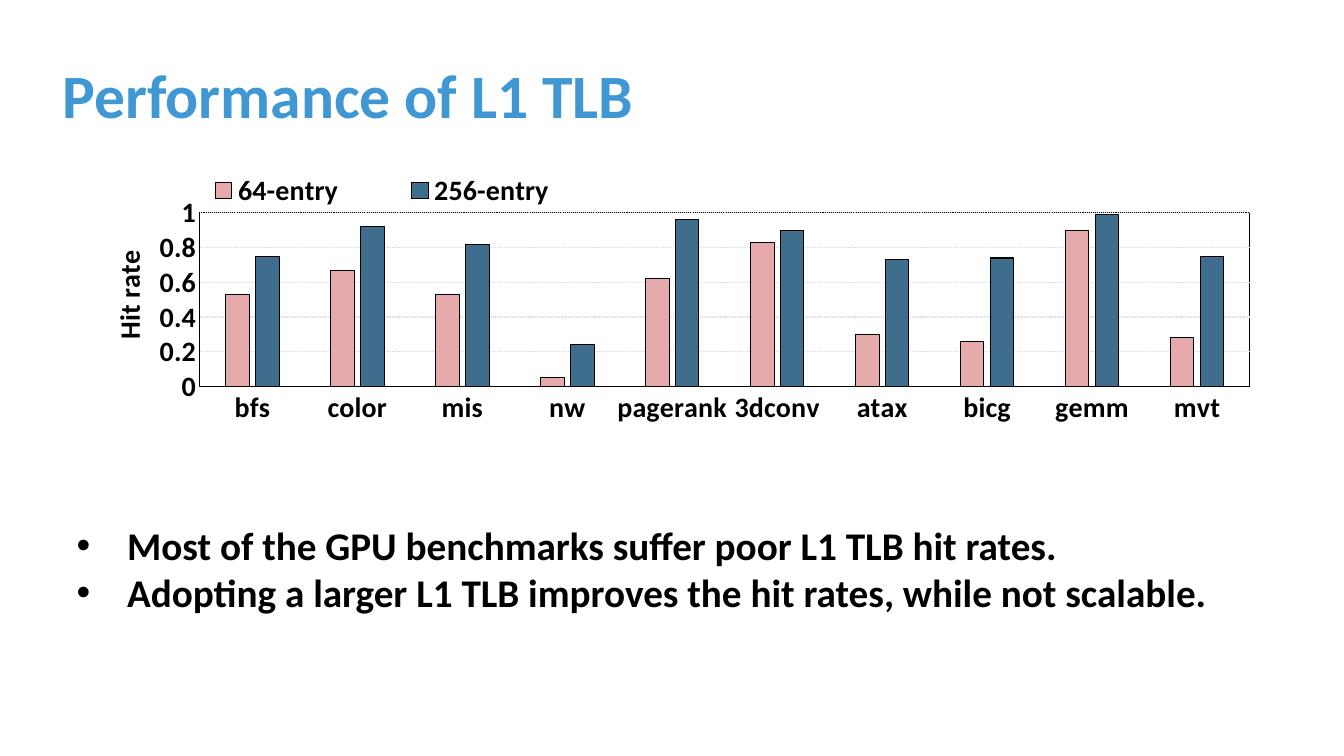
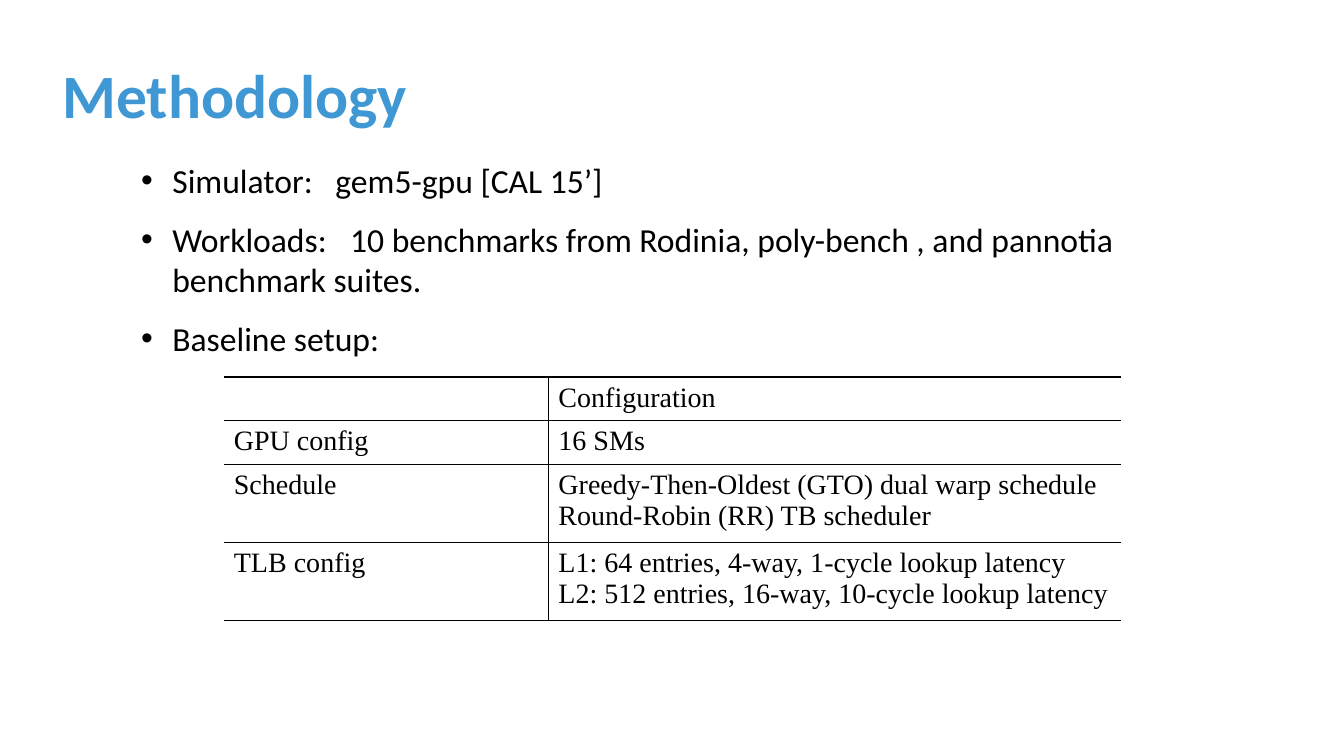
from dataclasses import dataclass

from lxml import etree
from pptx import Presentation
from pptx.chart.data import CategoryChartData
from pptx.dml.color import RGBColor
from pptx.enum.chart import XL_CHART_TYPE, XL_LEGEND_POSITION, XL_TICK_MARK
from pptx.enum.dml import MSO_LINE
from pptx.enum.text import MSO_ANCHOR, MSO_AUTO_SIZE, PP_ALIGN
from pptx.oxml import parse_xml
from pptx.oxml.ns import nsdecls, qn
from pptx.util import Cm, Pt


@dataclass(frozen=True)
class Theme:
    heading: str = "3F97D3"
    ink: str = "000000"
    grid: str = "D9D9D9"
    small_series: str = "E7AAAA"
    large_series: str = "3F6D8E"
    font: str = "Calibri"
    table_font: str = "Times New Roman"
    title_size: int = 44
    takeaway_size: int = 28
    list_size: int = 24
    label_size: int = 20
    hairline: float = 0.75
    rule: float = 1


THEME = Theme()
NO_TABLE_STYLE = "{2D5ABB26-0587-4C30-8999-92F81FD0307C}"

BENCHMARKS = ["bfs", "color", "mis", "nw", "pagerank",
              "3dconv", "atax", "bicg", "gemm", "mvt"]
HIT_RATES = [
    ("64-entry", THEME.small_series,
     [0.53, 0.67, 0.53, 0.05, 0.62, 0.83, 0.3, 0.26, 0.9, 0.28]),
    ("256-entry", THEME.large_series,
     [0.75, 0.92, 0.82, 0.24, 0.96, 0.9, 0.73, 0.74, 0.99, 0.75]),
]
SETUP_ROWS = [
    ("", "Configuration"),
    ("GPU config", "16 SMs"),
    ("Schedule", "Greedy-Then-Oldest (GTO) dual warp schedule\n"
                 "Round-Robin (RR) TB scheduler"),
    ("TLB config", "L1: 64 entries, 4-way, 1-cycle lookup latency\n"
                   "L2: 512 entries, 16-way, 10-cycle lookup latency"),
]


# Text
def format_font(font, size, color=THEME.ink, bold=False, name=THEME.font):
    font.name = name
    font.size = Pt(size)
    font.bold = bold
    font.color.rgb = RGBColor.from_string(color)


def add_bullet(paragraph, indent, tab=None):
    properties = paragraph._p.get_or_add_pPr()
    properties.set("marL", str(indent))
    properties.set("indent", str(-indent))
    etree.SubElement(properties, qn("a:buFont"), typeface="Arial")
    etree.SubElement(properties, qn("a:buChar"), char="•")
    if tab:
        stops = etree.SubElement(properties, qn("a:tabLst"))
        etree.SubElement(stops, qn("a:tab"), pos=str(tab), algn="l")


def write_text(frame, text, indent=None, tabs=(), gap=0, line_spacing=1.0, **font):
    """Write one paragraph per line of text; tabs maps onto its lines."""
    for number, line in enumerate(text.split("\n")):
        paragraph = frame.paragraphs[0] if number == 0 else frame.add_paragraph()
        if indent:
            add_bullet(paragraph, indent, tabs[number] if number < len(tabs) else None)
        paragraph.alignment = PP_ALIGN.LEFT
        paragraph.line_spacing = line_spacing
        paragraph.space_before = Pt(gap if number else 0)
        run = paragraph.add_run()
        run.text = line
        format_font(run.font, **font)


# Placeholders
def place(shape, left, top, width, height):
    shape.left, shape.top = Cm(left), Cm(top)
    shape.width, shape.height = Cm(width), Cm(height)
    shape.text_frame.word_wrap = True
    shape.text_frame.auto_size = MSO_AUTO_SIZE.NONE


def add_titled_slide(presentation, title):
    slide = presentation.slides.add_slide(presentation.slide_layouts[1])
    shape = slide.shapes.title
    place(shape, 1.32, 0.64, 32.54, 3.68)
    shape.text_frame.vertical_anchor = MSO_ANCHOR.MIDDLE
    write_text(shape.text_frame, title, line_spacing=0.9,
               size=THEME.title_size, color=THEME.heading, bold=True)
    return slide


def fill_list(slide, box, text, **style):
    body = slide.placeholders[1]
    place(body, *box)
    write_text(body.text_frame, text, **style)


# Chart
def format_line(line, color=THEME.ink, width=THEME.hairline):
    line.color.rgb = RGBColor.from_string(color)
    line.width = Pt(width)


def set_layout(element, index, inner=False, **fractions):
    """Give a chart part a fixed place, as fractions of the chart."""
    for old in element.findall(qn("c:layout")):
        element.remove(old)
    layout = etree.Element(qn("c:layout"))
    manual = etree.SubElement(layout, qn("c:manualLayout"))
    if inner:
        etree.SubElement(manual, qn("c:layoutTarget"), val="inner")
    for mode in ("xMode", "yMode"):
        etree.SubElement(manual, qn(f"c:{mode}"), val="edge")
    for key, value in fractions.items():
        etree.SubElement(manual, qn(f"c:{key}"), val=str(value))
    element.insert(index, layout)


def frame_plot(plot_area):
    set_layout(plot_area, 0, inner=True, x=0.101, y=0.283, w=0.888, h=0.412)
    plot_area.append(parse_xml(
        f'<c:spPr {nsdecls("c", "a")}><a:noFill/>'
        f'<a:ln w="{Pt(THEME.hairline)}"><a:solidFill>'
        f'<a:srgbClr val="{THEME.ink}"/></a:solidFill></a:ln></c:spPr>'))


def format_axes(chart):
    for axis in (chart.category_axis, chart.value_axis):
        axis.major_tick_mark = axis.minor_tick_mark = XL_TICK_MARK.NONE
        format_font(axis.tick_labels.font, THEME.label_size, bold=True)
    format_line(chart.category_axis.format.line)

    rate_axis = chart.value_axis
    rate_axis.minimum_scale, rate_axis.maximum_scale = 0, 1
    rate_axis.major_unit = 0.2
    rate_axis.format.line.fill.background()
    gridline = rate_axis.major_gridlines.format.line
    format_line(gridline, THEME.grid)
    gridline.dash_style = MSO_LINE.ROUND_DOT

    title = rate_axis.axis_title
    write_text(title.text_frame, "Hit rate", size=THEME.label_size, bold=True)
    element = title._element
    body = next(element.iter(qn("a:bodyPr")))
    body.set("rot", "-5400000")
    body.set("vert", "horz")
    set_layout(element, 1, x=0.02, y=0.36)


def add_hit_rate_chart(slide):
    data = CategoryChartData()
    data.categories = BENCHMARKS
    for name, _, values in HIT_RATES:
        data.add_series(name, values)
    chart = slide.shapes.add_chart(
        XL_CHART_TYPE.COLUMN_CLUSTERED,
        Cm(2.03), Cm(2.36), Cm(29.79), Cm(10.62), data).chart
    format_font(chart.font, THEME.label_size, bold=True)
    chart.has_title = False

    plot = chart.plots[0]
    plot.gap_width, plot.overlap = 219, -27
    plot.vary_by_categories = False
    for series, (_, color, _) in zip(plot.series, HIT_RATES):
        series.format.fill.solid()
        series.format.fill.fore_color.rgb = RGBColor.from_string(color)
        format_line(series.format.line)

    format_axes(chart)
    frame_plot(next(chart._chartSpace.iter(qn("c:plotArea"))))

    chart.has_legend = True
    chart.legend.position = XL_LEGEND_POSITION.BOTTOM
    chart.legend.include_in_layout = False
    format_font(chart.legend.font, THEME.label_size, bold=True)
    set_layout(chart.legend._element, 1, x=0.06, y=0.18, w=0.39, h=0.1)


# Table
def add_borders(cell, sides):
    properties = cell._tc.get_or_add_tcPr()
    for index, side in enumerate(sides):
        properties.insert(index, parse_xml(
            f'<a:ln{side} {nsdecls("a")} w="{Pt(THEME.rule)}"><a:solidFill>'
            f'<a:srgbClr val="{THEME.ink}"/></a:solidFill></a:ln{side}>'))


def add_setup_table(slide):
    widths, heights = (8.18, 14.43), (1.1, 1.1, 1.97, 1.97)
    table = slide.shapes.add_table(
        len(heights), len(widths), Cm(5.64), Cm(9.5),
        Cm(sum(widths)), Cm(sum(heights))).table
    next(table._tbl.iter(qn("a:tableStyleId"))).text = NO_TABLE_STYLE
    table.first_row = table.horz_banding = False
    for column, width in zip(table.columns, widths):
        column.width = Cm(width)
    for row, height, texts in zip(table.rows, heights, SETUP_ROWS):
        row.height = Cm(height)
        for cell, text, sides in zip(row.cells, texts, ("RTB", "LTB")):
            cell.fill.background()
            add_borders(cell, sides)
            if text:
                write_text(cell.text_frame, text,
                           size=THEME.label_size, name=THEME.table_font)


# Slides
def add_performance_slide(presentation):
    slide = add_titled_slide(presentation, "Performance of L1 TLB")
    add_hit_rate_chart(slide)
    fill_list(slide, (1.68, 13, 30.5, 2.64),
              "Most of the GPU benchmarks suffer poor L1 TLB hit rates.\n"
              "Adopting a larger L1 TLB improves the hit rates, while not scalable.",
              indent=Cm(1.27), size=THEME.takeaway_size, bold=True)


def add_methodology_slide(presentation):
    slide = add_titled_slide(presentation, "Methodology")
    fill_list(slide, (3.3, 3.89, 27.91, 5.5),
              "Simulator:\tgem5-gpu [CAL 15’]\n"
              "Workloads:\t10 benchmarks from Rodinia, poly-bench , "
              "and pannotia benchmark suites.\n"
              "Baseline setup:",
              indent=Cm(0.79), tabs=(Cm(4.9), Cm(5.27)), gap=13.4,
              size=THEME.list_size)
    add_setup_table(slide)


def main():
    presentation = Presentation()
    presentation.slide_width, presentation.slide_height = Cm(33.87), Cm(19.05)
    add_performance_slide(presentation)
    add_methodology_slide(presentation)
    presentation.save("out.pptx")


if __name__ == "__main__":
    main()
